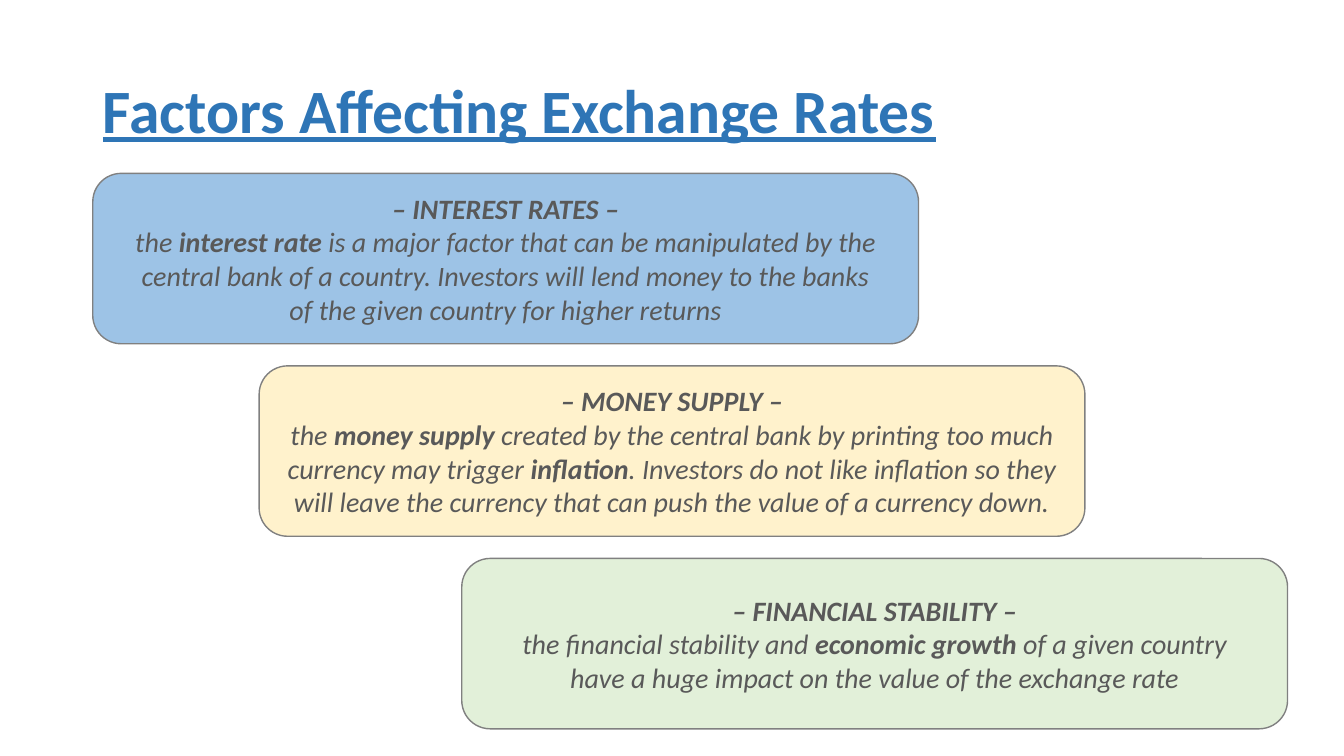
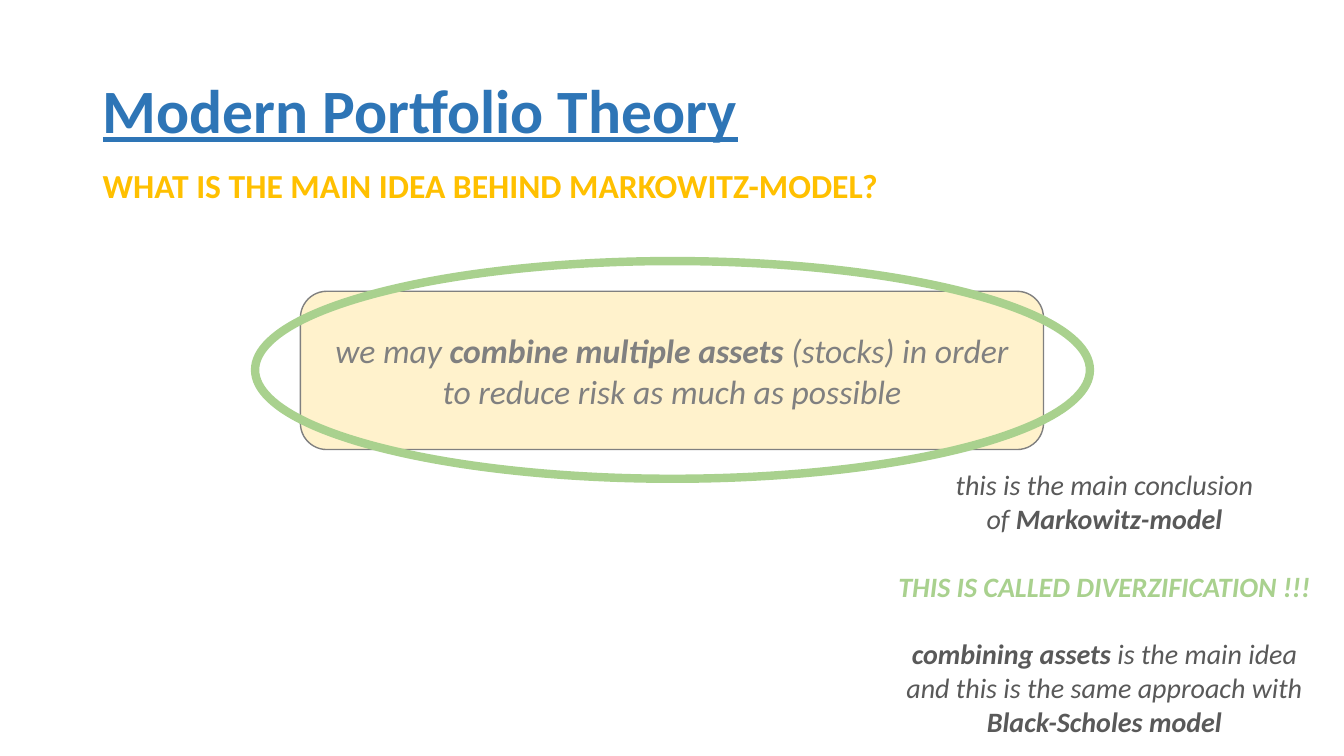
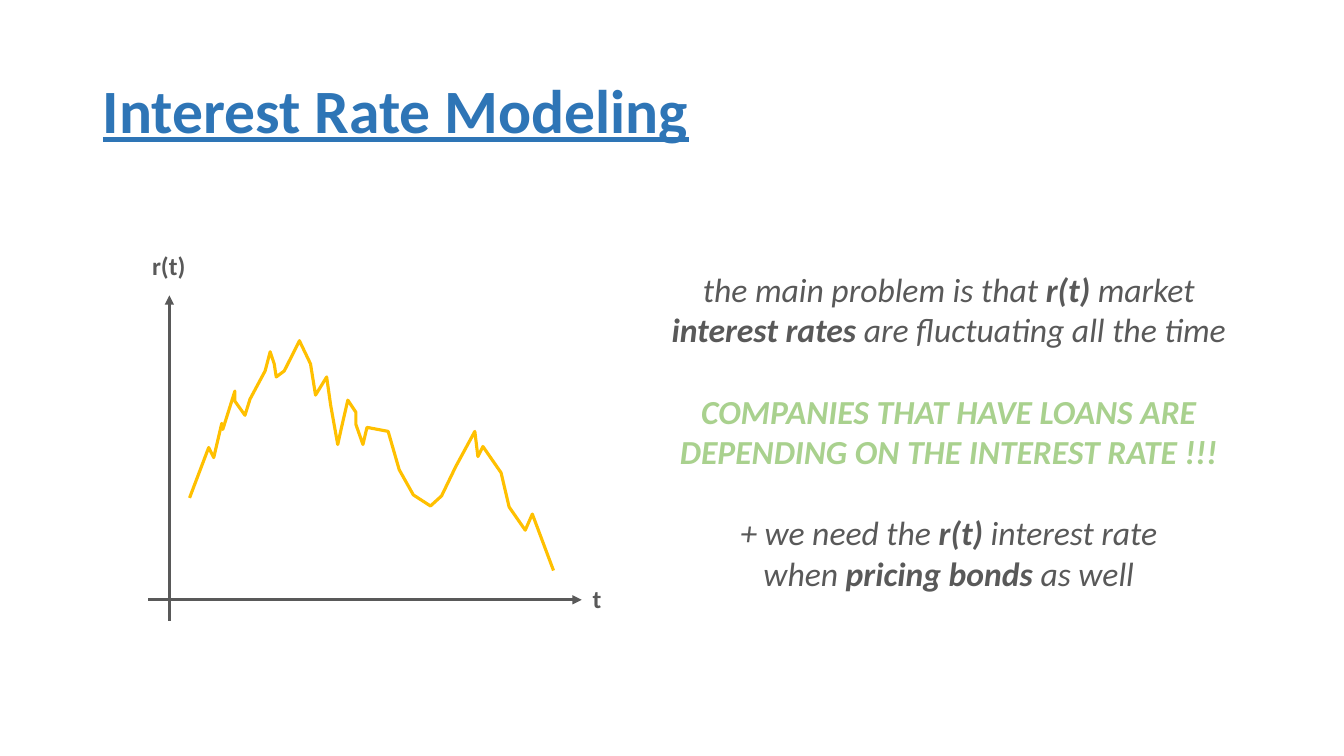
"""Build three finance slides: exchange rates, portfolio theory and interest rates."""
from pptx import Presentation, util as u
from pptx.dml.color import RGBColor
from pptx.enum import shapes as sh, text as tx
from pptx.oxml import parse_xml
from pptx.oxml.ns import nsdecls

PX = 9144
FONT = "Calibri"
BLUE = RGBColor(0x2E, 0x75, 0xB6)
SKY = RGBColor(0x9D, 0xC3, 0xE6)
CREAM = RGBColor(0xFF, 0xF2, 0xCC)
MINT = RGBColor(0xE2, 0xF0, 0xD9)
GREEN = RGBColor(0xA9, 0xD1, 0x8E)
GOLD = RGBColor(0xFF, 0xC0, 0x00)
DARK = RGBColor(0x59, 0x59, 0x59)
GRAY = RGBColor(0x80, 0x80, 0x80)

CARDS = [
    (92, SKY, [
        "*– INTEREST RATES –*",
        "the *interest rate* is a major factor that can be manipulated by the",
        "central bank of a country. Investors will lend money to the banks",
        "of the given country for higher returns"]),
    (257, CREAM, [
        "*– MONEY SUPPLY –*",
        "the *money supply* created by the central bank by printing too much "
        "currency may trigger *inflation*. Investors do not like inflation so they",
        "will leave the currency that can push the value of a currency down."]),
    (458, MINT, [
        "*– FINANCIAL STABILITY –*",
        "the financial stability and *economic growth* of a given country",
        "have a huge impact on the value of the exchange rate"]),
]
IDEA = ["we may *combine multiple assets* (stocks) in order",
        "to reduce risk as much as possible"]
MODEL = [
    (DARK, ["this is the main conclusion", "of *Markowitz-model*"]),
    (GREEN, ["*THIS IS CALLED DIVERZIFICATION !!!*"]),
    (DARK, ["*combining assets* is the main idea",
            "and this is the same approach with", "*Black-Scholes model*"]),
]
LOANS = [
    (DARK, ["the main problem is that *r(t)* market",
            "*interest rates* are fluctuating all the time"]),
    (GREEN, ["*COMPANIES THAT HAVE LOANS ARE*",
             "*DEPENDING ON THE INTEREST RATE !!!*"]),
    (DARK, ["+ we need the *r(t)* interest rate",
            "when *pricing bonds* as well"]),
]
RATES = [
    (188, 494), (207, 444), (212, 454), (220, 420), (221, 426), (233, 388),
    (233, 398), (243, 412), (248, 396), (263, 368), (268, 349), (272, 361),
    (274, 374), (282, 368), (297, 338), (308, 361), (313, 392), (324, 374),
    (328, 402), (335, 441), (339, 423), (345, 397), (353, 409), (353, 421),
    (360, 441), (364, 424), (385, 428), (396, 466), (410, 491), (427, 502),
    (438, 492), (452, 463), (471, 428), (474, 453), (479, 443), (497, 469),
    (505, 503), (521, 526), (528, 510), (549, 566),
]


def px(*nums):
    return [u.Emu(n * PX) for n in nums]


def style(font, size, tint, bold=False, slant=False):
    font.name, font.size, font.bold, font.italic = FONT, u.Pt(size), bold, slant
    font.color.rgb = tint


def write(frame, blocks, size, slant=True, align=tx.PP_ALIGN.CENTER):
    para = None
    for tint, lines in blocks:
        for row, line in enumerate(lines):
            first = para is None
            para = frame.paragraphs[0] if first else frame.add_paragraph()
            para.alignment = align
            if row == 0 and not first:
                para.space_before = u.Pt(round(size * 1.22, 1))
            for pos, part in enumerate(line.split("*")):
                if part:
                    run = para.add_run()
                    run.text = part
                    style(run.font, size, tint, pos % 2 == 1, slant)


def page(deck, name):
    slide = deck.slides.add_slide(deck.slide_layouts[5])
    title = slide.shapes.title
    title.left, title.top, title.width, title.height = px(92, 40, 1150, 145)
    frame = title.text_frame
    frame.text = name
    frame.auto_size = tx.MSO_AUTO_SIZE.NONE
    frame.vertical_anchor = tx.MSO_ANCHOR.MIDDLE
    para = frame.paragraphs[0]
    para.alignment, para.line_spacing = tx.PP_ALIGN.LEFT, 0.9
    style(para.runs[0].font, 44, BLUE, True)
    para.runs[0].font.underline = True
    return slide


def shape(slide, kind, box, fill, line, width):
    item = slide.shapes.add_shape(kind, *px(*box))
    item.shadow.inherit = False
    if fill is None:
        item.fill.background()
    else:
        item.fill.solid()
        item.fill.fore_color.rgb = fill
    item.line.color.rgb, item.line.width = line, u.Pt(width)
    return item


def card(slide, box, fill, lines, size, tint):
    item = shape(slide, sh.MSO_SHAPE.ROUNDED_RECTANGLE, box, fill, GRAY, 1)
    frame = item.text_frame
    frame.word_wrap, frame.vertical_anchor = True, tx.MSO_ANCHOR.MIDDLE
    write(frame, [(tint, lines)], size)


def label(slide, box, blocks, size, **look):
    frame = slide.shapes.add_textbox(*px(*box)).text_frame
    frame.word_wrap = False
    write(frame, blocks, size, **look)
    return frame


def arrow(slide, *ends):
    item = slide.shapes.add_connector(sh.MSO_CONNECTOR.STRAIGHT, *px(*ends))
    item.line.color.rgb, item.line.width = DARK, u.Pt(2.25)
    space = nsdecls("a")
    item.line._get_or_add_ln().append(parse_xml(f'<a:tailEnd {space} type="triangle"/>'))
    item._element.spPr.append(parse_xml(f"<a:effectLst {space}/>"))


def curve(slide, dots):
    pen = slide.shapes.build_freeform(*dots[0], scale=PX)
    pen.add_line_segments(dots[1:], close=False)
    item = pen.convert_to_shape()
    item.shadow.inherit = False
    item.fill.background()
    item.line.color.rgb, item.line.width = GOLD, u.Pt(2.25)


def factors(deck):
    slide = page(deck, "Factors Affecting Exchange Rates")
    for row, (left, fill, lines) in enumerate(CARDS):
        card(slide, (left, 172 + 191 * row, 819, 169), fill, lines, 20, DARK)


def theory(deck):
    slide = page(deck, "Modern Portfolio Theory")
    card(slide, (298, 289, 737, 157), CREAM, IDEA, 24, GRAY)
    shape(slide, sh.MSO_SHAPE.OVAL, (253, 259, 828, 216), None, GREEN, 6)
    label(slide, (879, 459, 433, 313), MODEL, 20)
    ask = label(slide, (92, 163, 1150, 50),
                [(GOLD, ["*WHAT IS THE MAIN IDEA BEHIND MARKOWITZ-MODEL?*"])],
                24, slant=False, align=tx.PP_ALIGN.LEFT)
    ask.word_wrap = True
    ask.paragraphs[0].line_spacing = 0.9


def rates(deck):
    slide = page(deck, "Interest Rate Modeling")
    arrow(slide, 168, 616, 168, 293)
    arrow(slide, 147, 595, 577, 595)
    for name, box in (("r(t)", (141, 243, 54, 40)), ("t", (578, 574, 29, 40))):
        label(slide, box, [(DARK, [f"*{name}*"])], 18, slant=False,
              align=tx.PP_ALIGN.LEFT)
    curve(slide, RATES)
    label(slide, (653, 262, 576, 333), LOANS, 24)


def main():
    deck = Presentation()
    deck.slide_width, deck.slide_height = px(1333, 750)
    for build in (factors, theory, rates):
        build(deck)
    deck.save("out.pptx")


if __name__ == "__main__":
    main()
